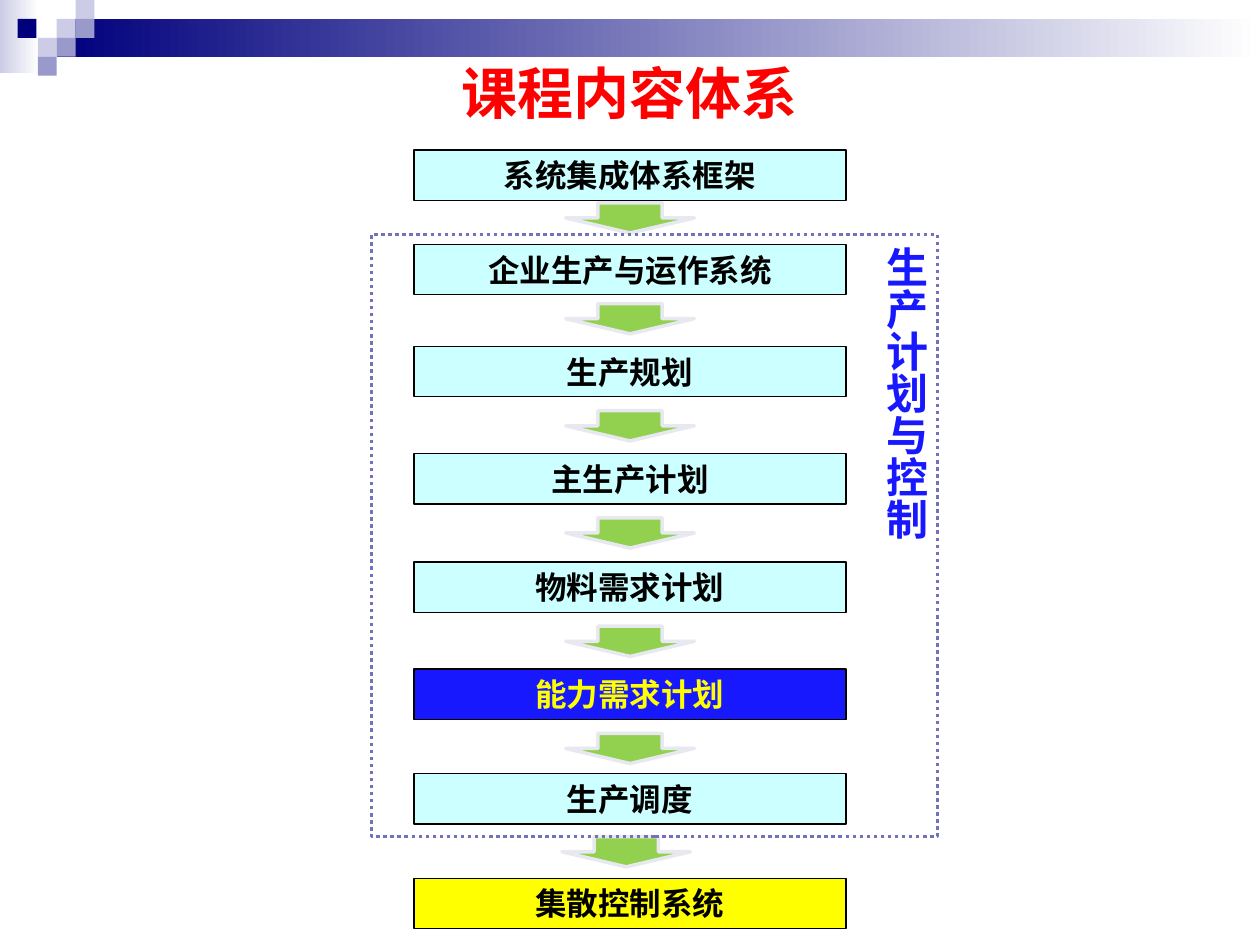
from pptx import Presentation
from pptx.dml.color import RGBColor
from pptx.enum.dml import MSO_LINE
from pptx.enum.shapes import MSO_SHAPE
from pptx.enum.text import MSO_ANCHOR, PP_ALIGN
from pptx.util import Inches, Pt

RECTANGLE = MSO_SHAPE.RECTANGLE
DOWN_ARROW = MSO_SHAPE.DOWN_ARROW
DOTTED = MSO_LINE.ROUND_DOT
MIDDLE, TOP = MSO_ANCHOR.MIDDLE, MSO_ANCHOR.TOP
CENTER, LEFT = PP_ALIGN.CENTER, PP_ALIGN.LEFT

BLACK = RGBColor(0x00, 0x00, 0x00)
WHITE = RGBColor(0xFF, 0xFF, 0xFF)
RED = RGBColor(0xFF, 0x00, 0x00)
YELLOW = RGBColor(0xFF, 0xFF, 0x00)
BLUE = RGBColor(0x18, 0x18, 0xFF)
NAVY = RGBColor(0x00, 0x00, 0x7D)
CYAN = RGBColor(0xCC, 0xFF, 0xFF)
GREEN = RGBColor(0x92, 0xD0, 0x50)
LAVENDER = RGBColor(0xCC, 0xCC, 0xE6)
PERIWINKLE = RGBColor(0x99, 0x99, 0xCC)
VIOLET = RGBColor(0x71, 0x71, 0xBD)
PALE = RGBColor(0xE8, 0xE8, 0xF1)

TITLE = "课程内容体系"
GROUP_LABEL = "生产计划与控制"
STEPS = [
    ("系统集成体系框架", 1.19, CYAN, BLACK, "Noto Sans CJK SC"),
    ("企业生产与运作系统", 1.94, CYAN, BLACK, "Calibri"),
    ("生产规划", 2.75, CYAN, BLACK, "Calibri"),
    ("主生产计划", 3.6, CYAN, BLACK, "Calibri"),
    ("物料需求计划", 4.46, CYAN, BLACK, "Calibri"),
    ("能力需求计划", 5.31, BLUE, YELLOW, "Calibri"),
    ("生产调度", 6.14, CYAN, BLACK, "Calibri"),
    ("集散控制系统", 6.97, YELLOW, BLACK, "Calibri"),
]
ARROWS = [(5, 1.61), (5, 2.41), (5, 3.26), (5, 4.11), (5, 4.97), (5, 5.82), (4.97, 6.64)]
BANDS = [
    ((0, 0, 0.31, 0.58), LAVENDER),
    ((0.45, 0.15, 9.55, 0.3), NAVY),
]
TILE = 0.15
TILES = [
    (3, 1, LAVENDER), (4, 0, LAVENDER), (4, 1, PERIWINKLE), (2, 2, LAVENDER),
    (0.93, 1, NAVY), (3, 2, PERIWINKLE), (2, 3, PERIWINKLE),
]
BOX_WIDTH, BOX_HEIGHT = 3.43, 0.4
ARROW_WIDTH, ARROW_HEIGHT = 1.02, 0.24


def add_figure(page, kind, place, fill=None, line=None, line_width=0.75):
    shape = page.shapes.add_shape(kind, *map(Inches, place))
    shape.shadow.inherit = False
    if fill is None:
        shape.fill.background()
    else:
        shape.fill.solid()
        shape.fill.fore_color.rgb = fill
    if line is None:
        shape.line.fill.background()
    else:
        shape.line.color.rgb = line
        shape.line.width = Pt(line_width)
    return shape


def write(shape, text, size, font, color, align=CENTER, anchor=MIDDLE):
    frame = shape.text_frame
    frame.word_wrap = True
    frame.vertical_anchor = anchor
    para = frame.paragraphs[0]
    para.text = text
    para.alignment = align
    para.font.size = Pt(size)
    para.font.name = font
    para.font.bold = True
    para.font.color.rgb = color


def add_band(page, place, color):
    band = add_figure(page, RECTANGLE, place)
    band.fill.gradient()
    band.fill.gradient_angle = 0
    for stop, position, shade in zip(band.fill.gradient_stops, (0, 1), (color, WHITE)):
        stop.position = position
        stop.color.rgb = shade


def main():
    deck = Presentation()
    deck.slide_width, deck.slide_height = Inches(10), Inches(7.5)
    page = deck.slides.add_slide(deck.slide_layouts[5])

    for place, color in BANDS:
        add_band(page, place, color)
    for column, row, color in TILES:
        add_figure(page, RECTANGLE, (column * TILE, row * TILE, TILE, TILE), color)

    title = page.shapes.title
    title.left, title.top, title.width, title.height = map(Inches, (0.5, 0.5, 9, 0.46))
    write(title, TITLE, 32, "Arial", RED)

    for text, top, fill, color, font in STEPS:
        place = (5 - BOX_WIDTH / 2, top, BOX_WIDTH, BOX_HEIGHT)
        write(add_figure(page, RECTANGLE, place, fill, BLACK), text, 18, font, color)
    for center, top in ARROWS:
        place = (center - ARROW_WIDTH / 2, top, ARROW_WIDTH, ARROW_HEIGHT)
        add_figure(page, DOWN_ARROW, place, GREEN, PALE, 2)

    group = add_figure(page, RECTANGLE, (2.95, 1.86, 4.49, 4.78), None, VIOLET, 2)
    group.line.dash_style = DOTTED
    write(group, GROUP_LABEL, 24, "Arial", BLUE, LEFT, TOP)
    group.text_frame._txBody.bodyPr.set("vert", "eaVert")

    deck.save("out.pptx")


if __name__ == "__main__":
    main()
